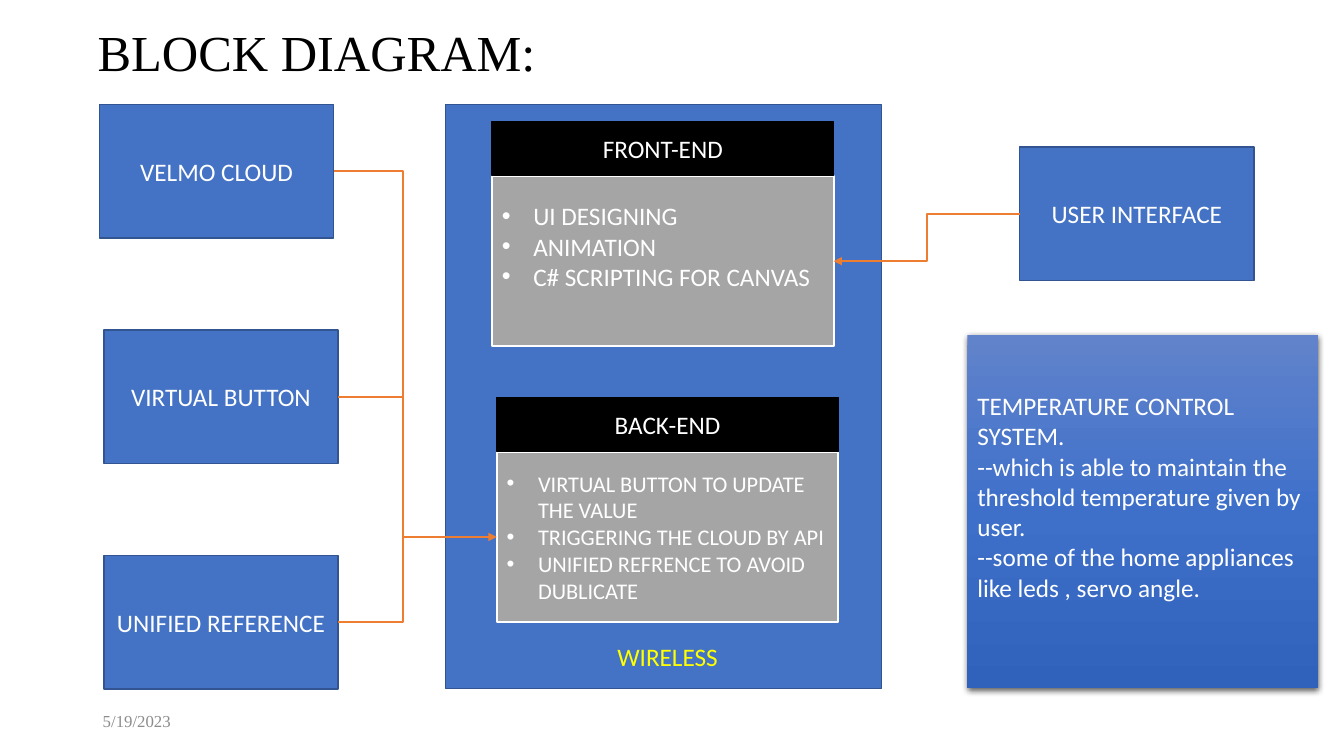
from copy import deepcopy
from dataclasses import dataclass

from lxml import etree
from pptx import Presentation
from pptx.dml.color import RGBColor
from pptx.enum.shapes import MSO_CONNECTOR, MSO_SHAPE
from pptx.enum.text import MSO_ANCHOR, PP_ALIGN
from pptx.oxml import parse_xml
from pptx.oxml.ns import nsdecls, qn
from pptx.util import Cm, Pt


@dataclass(frozen=True)
class Theme:
    blue: str = "4472C4"
    blue_edge: str = "325491"
    gray: str = "A5A5A5"
    orange: str = "ED7D31"
    yellow: str = "FFFF00"
    white: str = "FFFFFF"
    black: str = "000000"
    date_gray: str = "8C8C8C"
    gradient: tuple = ("6183CB", "3E70CA", "3062BB")
    body_font: str = "Calibri"
    serif_font: str = "Times New Roman"
    title_size: int = 36
    body_size: int = 18
    small_size: int = 16
    date_size: int = 12


theme = Theme()


def write(shape, lines, size=theme.body_size, color=theme.white, font=theme.body_font,
          align=PP_ALIGN.CENTER, bullets=False):
    """Fill a shape with one paragraph per line, centred vertically."""
    frame = shape.text_frame
    frame.word_wrap = True
    frame.vertical_anchor = MSO_ANCHOR.MIDDLE
    for index, line in enumerate(lines):
        paragraph = frame.add_paragraph() if index else frame.paragraphs[0]
        paragraph.alignment = align
        run = paragraph.add_run()
        run.text = line
        run.font.size = Pt(size)
        run.font.name = font
        run.font.color.rgb = RGBColor.from_string(color)
        if bullets:
            properties = paragraph._p.get_or_add_pPr()
            properties.set("marL", str(Cm(0.79)))
            properties.set("indent", str(Cm(-0.79)))
            etree.SubElement(properties, qn("a:buFont")).set("typeface", "Arial")
            etree.SubElement(properties, qn("a:buChar")).set("char", "•")


def add_box(left, top, width, height, fill=theme.blue, edge=theme.blue_edge, edge_width=1):
    box = slide.shapes.add_shape(MSO_SHAPE.RECTANGLE, Cm(left), Cm(top), Cm(width), Cm(height))
    box.shadow.inherit = False
    box.fill.solid()
    box.fill.fore_color.rgb = RGBColor.from_string(fill)
    box.line.color.rgb = RGBColor.from_string(edge)
    box.line.width = Pt(edge_width)
    return box


presentation = Presentation()
presentation.slide_width = Cm(33.87)
presentation.slide_height = Cm(19.05)
slide = presentation.slides.add_slide(presentation.slide_layouts[6])

# Title and date
title = slide.shapes.add_textbox(Cm(2.21), Cm(0.51), Cm(29.21), Cm(1.78))
write(title, ["BLOCK DIAGRAM:"], theme.title_size, theme.black, theme.serif_font, PP_ALIGN.LEFT)
title.text_frame.paragraphs[0].line_spacing = 0.9
date = slide.shapes.add_textbox(Cm(2.34), Cm(17.65), Cm(7.62), Cm(1.02))
write(date, ["5/19/2023"], theme.date_size, theme.date_gray, theme.serif_font, PP_ALIGN.LEFT)

# Central panel and outer blocks
add_box(11.23, 2.64, 10.98, 14.71)
block_width, block_height = 5.9, 3.36
source_top, source_pitch = 2.64, 5.68
sources = [("VELMO CLOUD", 2.51), ("VIRTUAL BUTTON", 2.62), ("UNIFIED REFERENCE", 2.62)]
blocks = [(name, left, source_top + row * source_pitch)
          for row, (name, left) in enumerate(sources)]
blocks.append(("USER INTERFACE", 25.7, 3.71))
for name, left, top in blocks:
    write(add_box(left, top, block_width, block_height), [name])

# Front-end and back-end cards
card_width, header_height, body_height = 8.61, 1.36, 4.3
cards = [
    ("FRONT-END", 12.4, 3.07, theme.body_size, 0.89,
     ["UI DESIGNING", "ANIMATION", "C# SCRIPTING FOR CANVAS"]),
    ("BACK-END", 12.52, 10.02, theme.small_size, 0.13,
     ["VIRTUAL BUTTON TO UPDATE THE VALUE", "TRIGGERING THE CLOUD BY API",
      "UNIFIED REFRENCE TO AVOID DUBLICATE"]),
]
for name, left, top, size, bottom_margin, items in cards:
    body = add_box(left, top + header_height, card_width, body_height,
                   theme.gray, theme.white, 1.5)
    body.text_frame.margin_bottom = Cm(bottom_margin)
    write(body, items, size, align=PP_ALIGN.LEFT, bullets=True)
    header = add_box(left, top, card_width, header_height, theme.black, theme.black)
    write(header, [name])

# Connectors: start, end, share of the width where the elbow turns, arrowhead
trunk = 10.15
(cloud_right, cloud_y), (button_right, button_y), (reference_right, reference_y) = [
    (left + block_width, top + block_height / 2) for _, left, top in blocks[:3]]
user_left, user_y = blocks[3][1], blocks[3][2] + block_height / 2
front_y, back_y = [card[2] + header_height + body_height / 2 for card in cards]
cloud_turn = (trunk - cloud_right) / (reference_right - cloud_right)
links = [
    ((cloud_right, cloud_y), (reference_right, reference_y), cloud_turn, False),
    ((button_right, button_y), (trunk, button_y), None, False),
    ((trunk, button_y), (cards[1][1], back_y), 0, True),
    ((user_left, user_y), (cards[0][1] + card_width, front_y), 0.5, True),
]
for start, end, turn, arrow in links:
    kind = MSO_CONNECTOR.STRAIGHT if turn is None else MSO_CONNECTOR.ELBOW
    connector = slide.shapes.add_connector(kind, *[Cm(value) for value in start + end])
    connector.line.color.rgb = RGBColor.from_string(theme.orange)
    connector.line.width = Pt(1.5)
    properties = connector._element.spPr
    if turn is not None:
        guide = etree.SubElement(properties.find(qn("a:prstGeom")).find(qn("a:avLst")), qn("a:gd"))
        guide.set("name", "adj1")
        guide.set("fmla", f"val {round(turn * 100000)}")
    if arrow:
        etree.SubElement(properties.find(qn("a:ln")), qn("a:tailEnd")).set("type", "triangle")
    etree.SubElement(properties, qn("a:effectLst"))

# Description with a three-stop gradient and a soft shadow
description = add_box(24.38, 8.43, 8.84, 8.92)
description.line.fill.background()
description.fill.gradient()
description.fill.gradient_angle = 270
stop_list = description._element.spPr.find(qn("a:gradFill")).find(qn("a:gsLst"))
stop_list.insert(1, deepcopy(stop_list[0]))
stop_list[1].set("pos", "50000")
for stop, color in zip(description.fill.gradient_stops, theme.gradient):
    stop.color.rgb = RGBColor.from_string(color)
description._element.spPr.find(qn("a:effectLst")).append(parse_xml(
    f'<a:outerShdw {nsdecls("a")} blurRad="{Pt(4.5)}" dist="{Pt(1.5)}" dir="5400000" '
    f'algn="ctr" rotWithShape="0"><a:srgbClr val="{theme.black}"><a:alpha val="63000"/>'
    '</a:srgbClr></a:outerShdw>'))
description.text_frame.margin_bottom = Cm(0.89)
write(description, [
    "TEMPERATURE CONTROL SYSTEM.",
    "--which is able to maintain the threshold temperature given by user.",
    "--some of the home appliances like leds , servo angle.",
], align=PP_ALIGN.LEFT)

wireless = slide.shapes.add_textbox(Cm(11.96), Cm(16.03), Cm(9.73), Cm(1.03))
write(wireless, ["WIRELESS"], color=theme.yellow)

presentation.save("out.pptx")
